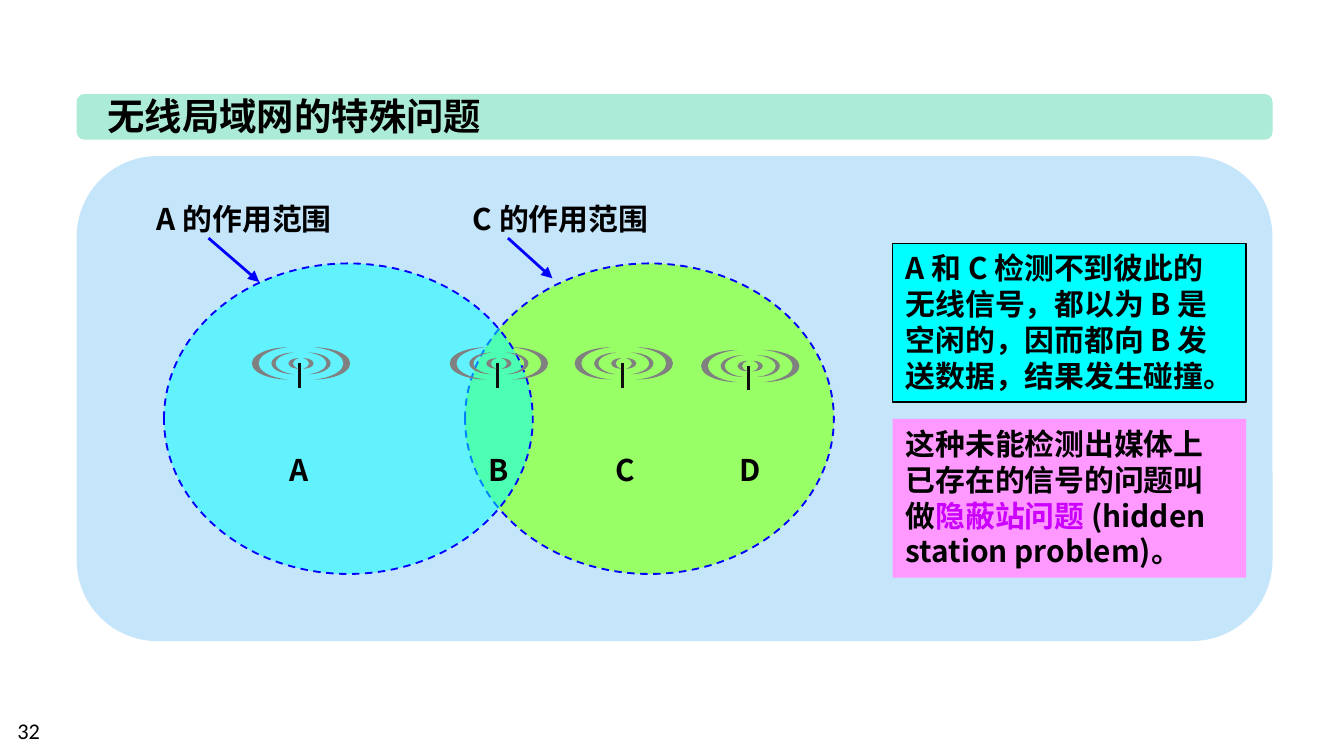
from pptx import Presentation
from pptx.dml.color import RGBColor
from pptx.enum.dml import MSO_LINE
from pptx.enum.shapes import MSO_CONNECTOR, MSO_SHAPE
from pptx.enum.text import MSO_ANCHOR, MSO_AUTO_SIZE, PP_ALIGN
from pptx.oxml.ns import qn
from pptx.util import Cm, Pt
from lxml.etree import SubElement

BLACK = RGBColor(0x00, 0x00, 0x00)
MINT = RGBColor(0xAB, 0xEB, 0xD7)
SKY = RGBColor(0xC5, 0xE5, 0xFB)
LIME = RGBColor(0x99, 0xFF, 0x66)
CYAN = RGBColor(0x00, 0xFF, 0xFF)
PINK = RGBColor(0xFF, 0x99, 0xFF)
PURPLE = RGBColor(0xCC, 0x00, 0xFF)
BLUE = RGBColor(0x00, 0x00, 0xFF)
GRAY = RGBColor(0x80, 0x80, 0x80)
INK = RGBColor(0x0D, 0x0D, 0x0D)
FONT = "Noto Sans CJK SC"

RINGS = [(0.93, 0.69, 0.61, 0.184), (0.56, 0.43, 0.41, 0.183), (0.24, 0.2, 0.2, 0.419)]
SITES = [("A", 5.66, 6.87, 5.23, 0.94), ("B", 9.4, 6.87, 8.99, 0.91),
         ("C", 11.76, 6.87, 11.38, 0.89), ("D", 14.15, 6.92, 13.72, 0.97)]


def add_shape(shapes, kind, box, fill, adj=None):
    shape = shapes.add_shape(kind, *map(Cm, box))
    shape.shadow.inherit = False
    shape.fill.solid()
    shape.fill.fore_color.rgb = fill
    shape.line.fill.background()
    if adj is not None:
        shape.adjustments[0] = adj
    return shape


def add_line(shapes, start, end, color, head=False):
    line = shapes.add_connector(MSO_CONNECTOR.STRAIGHT, *map(Cm, start + end))
    line.line.color.rgb = color
    line.line.width = Pt(1.5)
    if head:
        SubElement(line.line._get_or_add_ln(), qn("a:tailEnd"), type="triangle")
    SubElement(line._element.spPr, qn("a:effectLst"))


def write(shape, parts, size=16, wrap=False, align=PP_ALIGN.LEFT, name=FONT, bold=True, grow=True):
    frame = shape.text_frame
    frame.word_wrap = wrap
    frame.vertical_anchor = MSO_ANCHOR.TOP
    frame.auto_size = MSO_AUTO_SIZE.SHAPE_TO_FIT_TEXT if grow else MSO_AUTO_SIZE.NONE
    para = frame.paragraphs[0]
    para.alignment = align
    font = para.font
    font.size, font.bold, font.name = Pt(size), bold, name
    font.color.rgb = BLACK
    SubElement(para._p.pPr.find(qn("a:defRPr")), qn("a:ea"), typeface=name)
    for text, color in parts:
        run = para.add_run()
        run.text = text
        run.font.color.rgb = color


def add_text(shapes, box, text, **style):
    write(shapes.add_textbox(*map(Cm, box)), [(text, BLACK)], **style)


def add_note(shapes, top, fill, parts):
    note = add_shape(shapes, MSO_SHAPE.RECTANGLE, (16.87, top, 6.68, 3), fill)
    write(note, parts, wrap=True)
    return note


def add_range(shapes, left, fill, alpha=None):
    oval = add_shape(shapes, MSO_SHAPE.OVAL, (left, 4.98, 6.97, 5.87), fill)
    oval.line.color.rgb = BLUE
    oval.line.width = Pt(1)
    oval.line.dash_style = MSO_LINE.DASH
    if alpha:
        color = oval._element.spPr.find(qn("a:solidFill"))[0]
        SubElement(color, qn("a:alpha"), val=str(alpha * 1000))


def add_mast(shapes, x, y):
    group = shapes.add_group_shape().shapes
    add_line(group, (x, y), (x, y + 0.46), INK)
    mid = x + 0.03
    for reach, width, height, adj in RINGS:
        for left, flip in ((mid - reach, False), (mid + reach - width, True)):
            box = (left, y - height / 2, width, height)
            moon = add_shape(group, MSO_SHAPE.MOON, box, GRAY, adj)
            if flip:
                moon._element.spPr.xfrm.set("flipH", "1")


def main():
    deck = Presentation()
    deck.slide_width, deck.slide_height = Cm(25.4), Cm(14.29)
    shapes = deck.slides.add_slide(deck.slide_layouts[6]).shapes

    add_shape(shapes, MSO_SHAPE.ROUNDED_RECTANGLE, (1.45, 1.78, 22.6, 0.86), MINT, 0.167)
    add_text(shapes, (1.78, 1.63, 7.85, 1.12), "无线局域网的特殊问题", size=20)
    add_shape(shapes, MSO_SHAPE.ROUNDED_RECTANGLE, (1.45, 2.95, 22.6, 9.17), SKY)

    add_range(shapes, 8.79, LIME)
    add_text(shapes, (8.64, 3.66, 3.91, 0.94), "C 的作用范围", wrap=True, align=PP_ALIGN.CENTER)
    add_line(shapes, (9.6, 4.5), (10.44, 5.26), BLUE, head=True)
    add_text(shapes, (2.64, 3.66, 3.96, 0.94), "A 的作用范围", align=PP_ALIGN.CENTER)
    add_range(shapes, 3.1, CYAN, alpha=50)
    add_line(shapes, (3.94, 4.5), (4.9, 5.33), BLUE, head=True)

    clash = add_note(shapes, 4.6, CYAN, [
        ("A 和 C 检测不到彼此的无线信号，都以为 B 是空闲的，因而都向 B 发送数据，结果发生碰撞。", BLACK)])
    clash.line.color.rgb = BLACK
    clash.line.width = Pt(0.75)
    add_note(shapes, 7.92, PINK, [
        ("这种未能检测出媒体上已存在的信号的问题叫做", BLACK),
        ("隐蔽站问题 ", PURPLE),
        ("(hidden station problem)。", BLACK)])

    for label, x, y, left, width in SITES:
        add_mast(shapes, x, y)
        add_text(shapes, (left, 8.41, width, 0.94), label)

    add_text(shapes, (0.08, 13.44, 5.92, 0.76), "32", size=12, wrap=True,
             name="Calibri", bold=False, grow=False)
    deck.save("out.pptx")


if __name__ == "__main__":
    main()
